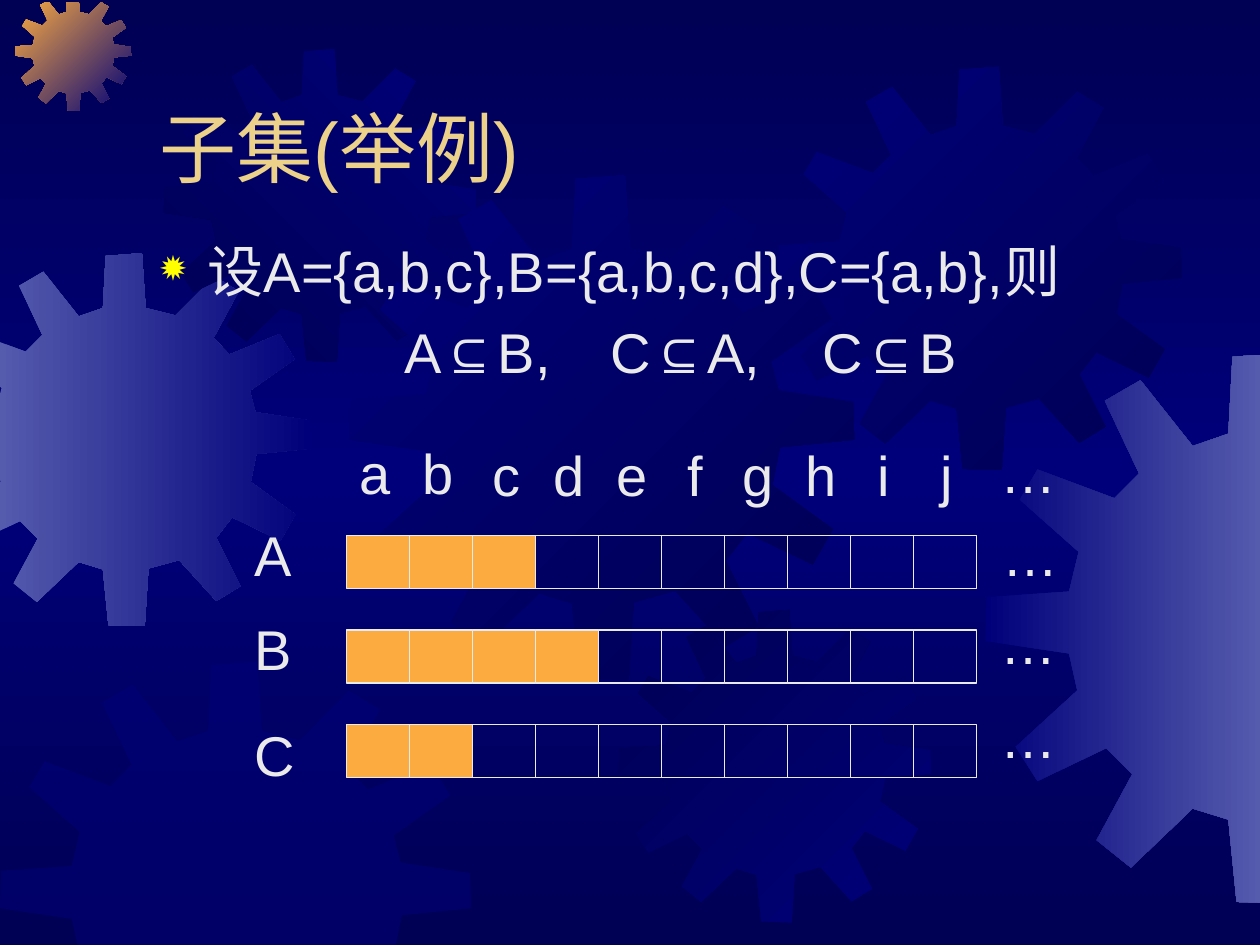
"""Build a slide that shows subsets as rows of filled cells on a gear backdrop."""
import copy

import lxml.etree
import pptx
import pptx.dml.color
import pptx.enum.shapes
import pptx.enum.text
import pptx.oxml.ns
import pptx.util

Inches = pptx.util.Inches
Pt = pptx.util.Pt
qn = pptx.oxml.ns.qn

NAVY, BLUE, STEEL = "000054", "00007A", "555BAD"
ORANGE, PALE, GOLD, YELLOW = "FCAB40", "EAEAEA", "EBD189", "FFFF00"

SPAN = 4.01
TEETH = [
    (2.55, 0.67), (2.23, 0.59), (2.19, 0), (1.8, 0.03), (1.77, 0.59), (1.51, 0.68),
    (1.13, 0.2), (0.87, 0.35), (1.12, 0.88), (0.94, 1.06), (0.38, 0.85), (0.25, 1.07),
    (0.68, 1.45), (0.61, 1.74), (0.01, 1.78), (0, 2.1), (0.61, 2.19), (0.67, 2.46),
    (0.22, 2.87), (0.38, 3.12), (0.88, 2.88), (1.07, 3.07), (0.81, 3.55), (1.06, 3.75),
    (1.51, 3.32), (1.77, 3.4), (1.83, 4), (2.22, 4.01), (2.26, 3.39), (2.59, 3.3),
    (2.99, 3.74), (3.25, 3.58), (2.99, 3.06), (3.16, 2.84), (3.68, 3.09), (3.84, 2.81),
    (3.36, 2.46), (3.42, 2.16), (4.01, 2.1), (4, 1.8), (3.41, 1.71), (3.35, 1.48),
    (3.83, 1.14), (3.67, 0.87), (3.13, 1.09), (2.96, 0.91), (3.23, 0.41), (2.97, 0.25),
]
EDGES = [(0, -0.01, 1), (0, 10.01, -1), (1, 0.02, 1), (1, 7.54, -1)]

GEARS = [
    (-0.49, 2.01, 2.96, (STEEL, BLUE), 0),
    (0.12, -0.04, 0.92, (ORANGE, BLUE), 45),
    (1.3, 0.39, 2.48, (NAVY, BLUE), 315),
    (2.77, 1.39, 4.01, (BLUE, NAVY), 45),
    (0, 5.25, 3.74, (BLUE,), 0),
    (4.91, 4.84, 2.48, (NAVY, BLUE), 45),
    (6.18, 0.53, 3.2, (BLUE, NAVY), 45),
    (7.82, 2.8, 4.37, (BLUE, STEEL), 0),
]
ROWS = [("A", 3, 4.08, 7.86, 4.08), ("B", 4, 4.83, 7.84, 4.78), ("C", 2, 5.67, 7.84, 5.53)]
SLIM = {"c": 0.42, "f": 0.32, "i": 0.3, "j": 0.3}


def tint(code):
    return pptx.dml.color.RGBColor.from_string(code)


def trim(points):
    for axis, edge, side in EDGES:
        kept = []
        for start, end in zip(points[-1:] + points[:-1], points):
            near = (start[axis] - edge) * side
            far = (end[axis] - edge) * side
            if near * far < 0:
                part = near / (near - far)
                kept.append(tuple(s + (e - s) * part for s, e in zip(start, end)))
            if far >= 0:
                kept.append(end)
        points = kept
    return points


class Deck:
    def __init__(self):
        self.show = pptx.Presentation()
        self.show.slide_width, self.show.slide_height = Inches(10), Inches(7.5)
        self.slide = self.show.slides.add_slide(self.show.slide_layouts[6])
        self.shapes = self.slide.shapes
        self.face = "Arial"

    def blend(self, fill, codes, turn):
        fill.gradient()
        fill.gradient_angle = (360 - turn) % 360
        for stop, code in zip(fill.gradient_stops, codes):
            stop.color.rgb = tint(code)

    def back(self, edge, mid):
        fill = self.slide.background.fill
        self.blend(fill, (edge, mid), 90)
        first = self.slide.element.find(".//" + qn("a:gs"))
        first.getparent().append(copy.deepcopy(first))
        for stop, place in zip(fill.gradient_stops, (0, 0.5, 1)):
            stop.position = place

    def gear(self, left, top, size, codes, turn):
        ratio = size / SPAN
        points = trim([(left + x * ratio, top + y * ratio) for x, y in TEETH])
        points = [(Inches(x), Inches(y)) for x, y in points]
        pen = self.shapes.build_freeform(*points[0])
        pen.add_line_segments(points[1:], close=True)
        shape = pen.convert_to_shape()
        shape.shadow.inherit = False
        shape.line.fill.background()
        if len(codes) > 1:
            self.blend(shape.fill, codes, turn)
        else:
            shape.fill.solid()
            shape.fill.fore_color.rgb = tint(codes[0])
            color = shape.element.spPr.find(".//" + qn("a:srgbClr"))
            lxml.etree.SubElement(color, qn("a:alpha"), val="50000")

    def cell(self, left, top, full):
        kind = pptx.enum.shapes.MSO_SHAPE.RECTANGLE
        shape = self.shapes.add_shape(kind, Inches(left), Inches(top), Inches(0.5), Inches(0.42))
        shape.shadow.inherit = False
        if full:
            shape.fill.solid()
            shape.fill.fore_color.rgb = tint(ORANGE)
        else:
            shape.fill.background()
        shape.line.color.rgb = tint(PALE)
        shape.line.width = Pt(0.75)

    def frame(self, left, top, width, height, wrap=True):
        box = self.shapes.add_textbox(Inches(left), Inches(top), Inches(width), Inches(height))
        box.text_frame.word_wrap = wrap
        return box.text_frame

    def say(self, para, text, size=32, code=PALE):
        run = para.add_run()
        run.text = text
        run.font.name, run.font.size = self.face, Pt(size)
        run.font.color.rgb = tint(code)

    def title(self, text):
        frame = self.frame(1.17, 0.33, 8.5, 1.25)
        frame.vertical_anchor = pptx.enum.text.MSO_ANCHOR.BOTTOM
        self.say(frame.paragraphs[0], text, 44, GOLD)

    def body(self, lead, facts, stops):
        frame = self.frame(1.17, 1.83, 8.5, 4.5)
        para = frame.paragraphs[0]
        props = para._p.get_or_add_pPr()
        props.set("marL", str(Inches(0.38)))
        props.set("indent", str(Inches(-0.38)))
        color = lxml.etree.SubElement(props, qn("a:buClr"))
        lxml.etree.SubElement(color, qn("a:srgbClr"), val=YELLOW)
        lxml.etree.SubElement(props, qn("a:buSzPct"), val="80000")
        lxml.etree.SubElement(props, qn("a:buChar"), char="✹")
        self.say(para, lead)

        para = frame.add_paragraph()
        tabs = lxml.etree.SubElement(para._p.get_or_add_pPr(), qn("a:tabLst"))
        for stop in stops:
            lxml.etree.SubElement(tabs, qn("a:tab"), pos=str(Inches(stop)), algn="l")
        para.space_before = Pt(8)
        for fact in facts:
            self.say(para, "\t" + fact)

    def label(self, text, left, top, width):
        frame = self.frame(left, top, width, 0.64, wrap=False)
        frame.auto_size = pptx.enum.text.MSO_AUTO_SIZE.SHAPE_TO_FIT_TEXT
        self.say(frame.paragraphs[0], text)


def main():
    deck = Deck()
    deck.back(NAVY, BLUE)
    for gear in GEARS:
        deck.gear(*gear)
    deck.title("子集(举例)")
    deck.body("设A={a,b,c},B={a,b,c,d},C={a,b},则", ["A⊆B,", "C⊆A,", "C⊆B"], [1.94, 3.58, 5.26])

    for row, (name, count, top, side, level) in enumerate(ROWS):
        for col in range(10):
            deck.cell(2.75 + col * 0.5, 4.25 + row * 0.75, col < count)
        deck.label(name, 1.92, top, 0.5)
        deck.label("…", side, level, 0.64)

    for col, name in enumerate("abcdefghij"):
        width = SLIM.get(name, 0.45)
        mid, top = (2.98, 3.43) if col < 2 else (3.02, 3.45)
        deck.label(name, mid + col * 0.5 - width / 2, top, width)
    deck.label("…", 7.84, 3.42, 0.64)
    deck.show.save("out.pptx")


if __name__ == "__main__":
    main()
